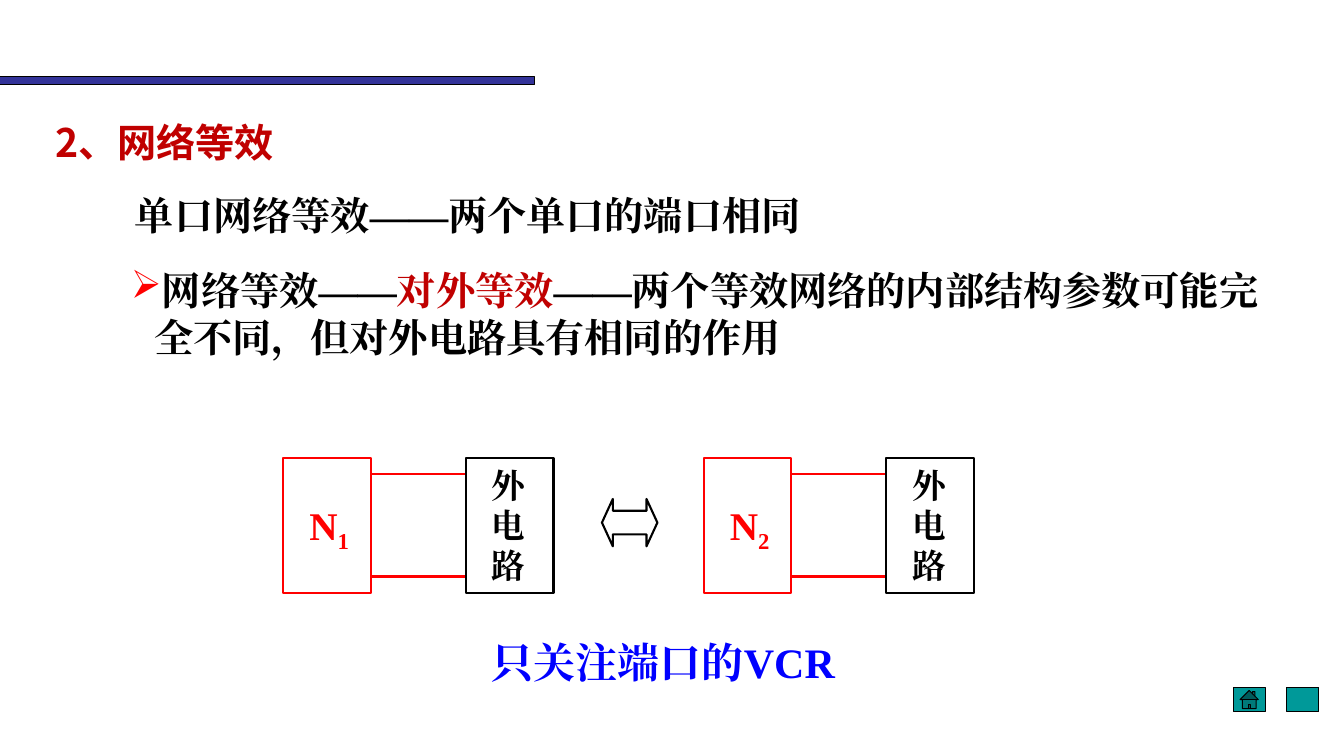
from lxml.etree import SubElement
from pptx import Presentation
from pptx.dml.color import RGBColor
from pptx.enum.shapes import MSO_CONNECTOR, MSO_SHAPE
from pptx.enum.text import MSO_AUTO_SIZE
from pptx.oxml.ns import qn
from pptx.util import Inches, Pt

COLORS = {"black": "000000", "red": "FF0000", "crimson": "C00000",
          "blue": "0000FF", "navy": "333399", "teal": "009999"}
SANS, SERIF = "Noto Sans CJK SC", "Times New Roman"


class Board:
    """Draws styled elements on a slide ruled in tenth-inch columns and rows."""

    def __init__(self, slide, cell=0.1):
        self.s = slide
        self.cell = cell

    def grid(self, *cells):
        return [Inches(n * self.cell) for n in cells]

    def color(self, name):
        return RGBColor.from_string(COLORS[name])

    def shape(self, kind, box, line="black", weight=1.5, fill=None):
        sp = self.s.shapes.add_shape(kind, *self.grid(*box))
        sp.shadow.inherit = False
        if fill:
            sp.fill.solid()
            sp.fill.fore_color.rgb = self.color(fill)
        else:
            sp.fill.background()
        sp.line.color.rgb = self.color(line)
        sp.line.width = Pt(weight)
        return sp

    def wire(self, left, right, row):
        c = self.s.shapes.add_connector(
            MSO_CONNECTOR.STRAIGHT, *self.grid(left, row, right, row))
        c.line.color.rgb = self.color("red")
        c.line.width = Pt(1.5)
        SubElement(c._element.spPr, qn("a:effectLst"))

    def text(self, box, paragraphs, size=28, font=SERIF, bullet=None):
        tf = self.s.shapes.add_textbox(*self.grid(*box)).text_frame
        tf.word_wrap = True
        tf.auto_size = MSO_AUTO_SIZE.SHAPE_TO_FIT_TEXT
        for i, runs in enumerate(paragraphs):
            p = tf.add_paragraph() if i else tf.paragraphs[0]
            if bullet:
                self.bullet(p, bullet)
            for words, color, *base in runs:
                r = p.add_run()
                r.text = words
                r.font.size = Pt(size)
                r.font.bold = True
                r.font.name = font
                r.font.color.rgb = self.color(color)
                rPr = r._r.get_or_add_rPr()
                SubElement(rPr, qn("a:ea"), typeface=font)
                if base:
                    rPr.set("baseline", str(base[0] * 1000))

    def bullet(self, p, char):
        pPr = p._p.get_or_add_pPr()
        hang = Inches(0.23)
        pPr.set("marL", str(hang))
        pPr.set("indent", str(-hang))
        clr = SubElement(pPr, qn("a:buClr"))
        SubElement(clr, qn("a:srgbClr"), val=COLORS["red"])
        SubElement(pPr, qn("a:buChar"), char=char)

    def circuit(self, left, index):
        top, width, height, load = 45.4, 8.7, 13.4, left + 18.1
        for row in (47, 57.2):
            self.wire(left + width, load, row)
        self.shape(MSO_SHAPE.RECTANGLE, (load, top, width, height))
        self.shape(MSO_SHAPE.RECTANGLE, (left, top, width, height), "red")
        self.text((left + 1.6, 49.2, 7.1, 5.7),
                  [[("N", "red"), (index, "red", -25)]])
        self.text((load + 1.6, 45.6, 6.3, 13),
                  [[(char, "black")] for char in "外电路"], 24)


def main():
    prs = Presentation()
    prs.slide_width, prs.slide_height = Inches(13.33), Inches(7.5)
    b = Board(prs.slides.add_slide(prs.slide_layouts[6]))

    b.shape(MSO_SHAPE.RECTANGLE, (0, 7.6, 53, 0.8), weight=0.75, fill="navy")
    for kind, left in ((MSO_SHAPE.ACTION_BUTTON_HOME, 122.3),
                       (MSO_SHAPE.ACTION_BUTTON_CUSTOM, 127.6)):
        b.shape(kind, (left, 68.2, 3.2, 2.4), weight=0.75, fill="teal")

    b.text((4.5, 11.2, 43.4, 5.7), [[("2、网络等效", "crimson")]], font=SANS)
    b.text((12.4, 18.5, 103.9, 5.7),
           [[("单口网络等效——两个单口的端口相同", "black")]])
    b.text((12, 25.9, 115.7, 10.4),
           [[("网络等效——", "black"), ("对外等效", "crimson"),
             ("——两个等效网络的内部结构参数可能完全不同，但对外电路具有相同的作用",
              "black")]], bullet="➢")

    for left, index in ((28.1, "1"), (69.8, "2")):
        b.circuit(left, index)
    arrow = b.shape(MSO_SHAPE.LEFT_RIGHT_ARROW, (59.7, 49.5, 5.5, 4.7))
    arrow.adjustments[0], arrow.adjustments[1] = 0.5, 0.23

    b.text((47.8, 62.7, 36.4, 6.1), [[("只关注端口的VCR", "blue")]], 30)
    prs.save("out.pptx")


if __name__ == "__main__":
    main()
